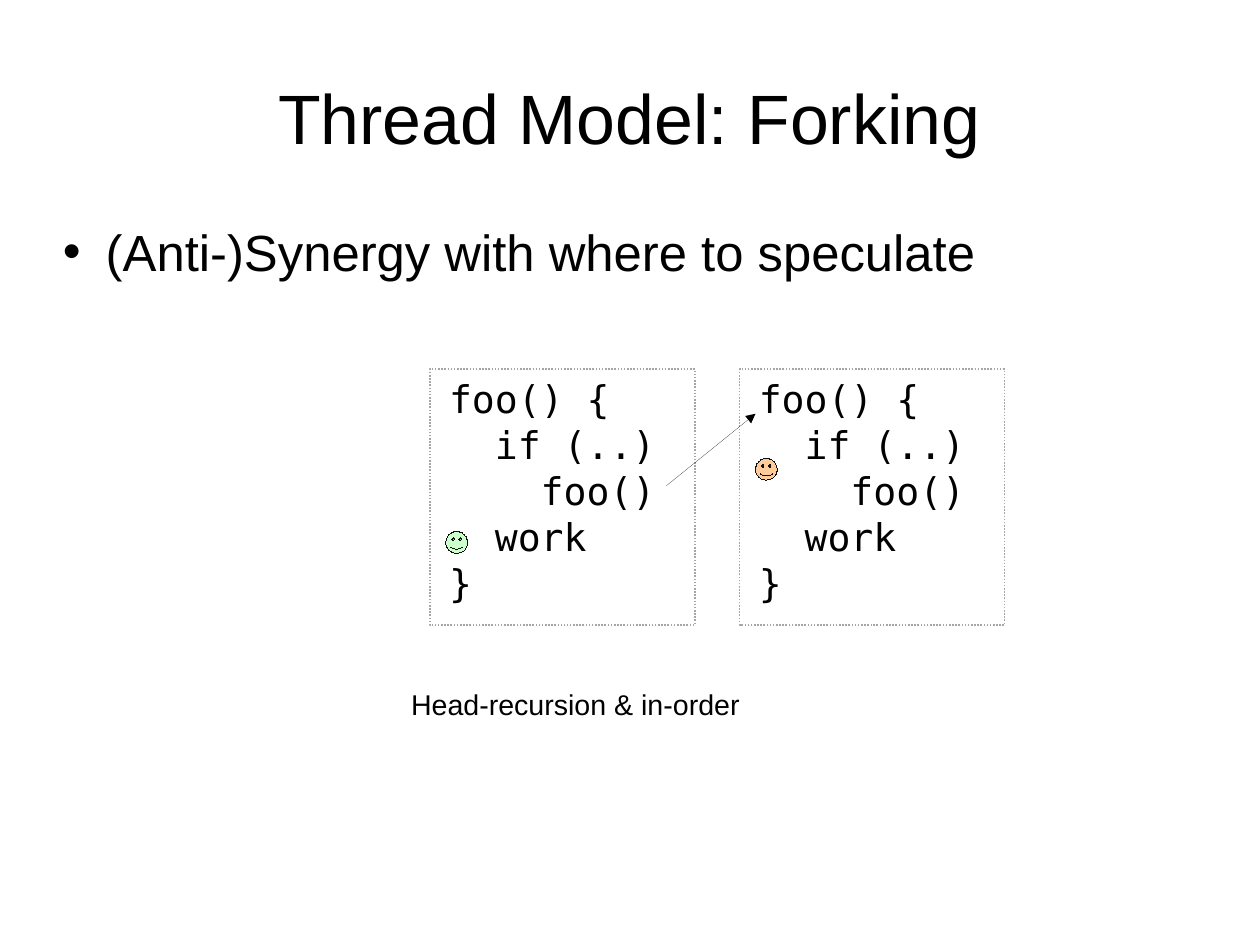
from lxml import etree
from pptx import Presentation
from pptx.dml.color import RGBColor
from pptx.enum.dml import MSO_LINE
from pptx.enum.shapes import MSO_CONNECTOR, MSO_SHAPE
from pptx.enum.text import MSO_ANCHOR, PP_ALIGN
from pptx.oxml.ns import qn
from pptx.util import Inches, Pt

CENTER, LEFT = PP_ALIGN.CENTER, PP_ALIGN.LEFT
TOP, MIDDLE = MSO_ANCHOR.TOP, MSO_ANCHOR.MIDDLE
DOTTED = MSO_LINE.ROUND_DOT
RECTANGLE, SMILEY = MSO_SHAPE.RECTANGLE, MSO_SHAPE.SMILEY_FACE
STRAIGHT = MSO_CONNECTOR.STRAIGHT

BLACK = RGBColor(0x00, 0x00, 0x00)
GRAY = RGBColor(0xA6, 0xA6, 0xA6)
OUTLINE = RGBColor(0x11, 0x11, 0x11)
GREEN = RGBColor(0xCC, 0xFF, 0xCC)
ORANGE = RGBColor(0xFF, 0xCC, 0x99)

SANS, MONO = "Arial", "DejaVu Sans Mono"
CODE = ["foo() {", "  if (..)", "    foo()", "  work", "}"]
FRAME_TOP = 3.23
CM_PER_INCH = 2.54


def format_paragraph(para, size, font_name, alignment):
    para.alignment = alignment
    para.space_before = Pt(0)
    para.font.size = Pt(size)
    para.font.name = font_name
    para.font.color.rgb = BLACK


def set_margins(frame, side, top):
    frame.margin_left = frame.margin_right = Inches(side)
    frame.margin_top = frame.margin_bottom = Inches(top)


def add_bullet(para):
    properties = para._p.get_or_add_pPr()
    properties.set("marL", str(Inches(0.47)))
    properties.set("indent", str(Inches(-0.35)))
    etree.SubElement(properties, qn("a:buSzPct"), val="45000")
    etree.SubElement(properties, qn("a:buFont"), typeface=SANS)
    etree.SubElement(properties, qn("a:buChar"), char="●")


def fill_placeholder(shape, text, top, height, size, alignment, anchor):
    shape.left, shape.top = Inches(0.55), Inches(top)
    shape.width, shape.height = Inches(9.92), Inches(height)
    frame = shape.text_frame
    frame.text = text
    frame.word_wrap = True
    frame.vertical_anchor = anchor
    set_margins(frame, 0, 0)
    format_paragraph(frame.paragraphs[0], size, SANS, alignment)


def add_text(page, lines, left, top, width, height, size, font_name, alignment):
    box = page.shapes.add_textbox(
        Inches(left), Inches(top), Inches(width), Inches(height))
    frame = box.text_frame
    frame.word_wrap = True
    set_margins(frame, 0.1, 0.05)
    frame.text = "\n".join(lines)
    for para in frame.paragraphs:
        format_paragraph(para, size, font_name, alignment)
    return frame


def add_code_frame(page, left):
    code = add_text(page, CODE, left + 0.07, FRAME_TOP, 2.88, 2.37, 24, MONO, LEFT)
    for para in code.paragraphs:
        para.line_spacing = Pt(29)
    border = page.shapes.add_shape(
        RECTANGLE, Inches(left), Inches(FRAME_TOP), Inches(2.32), Inches(2.24))
    border.shadow.inherit = False
    border.fill.background()
    border.line.color.rgb = GRAY
    border.line.width = Pt(1)
    border.line.dash_style = DOTTED


def set_hairline(line, color):
    line.color.rgb = color
    outline = line._get_or_add_ln()
    outline.set("w", "0")
    return outline


def add_smiley(page, left, top, color):
    face = page.shapes.add_shape(
        SMILEY, Inches(left), Inches(top), Inches(0.19), Inches(0.19))
    face.shadow.inherit = False
    face.adjustments[0] = 0.09
    face.fill.solid()
    face.fill.fore_color.rgb = color
    set_hairline(face.line, OUTLINE)


def add_arrow(page, start, end):
    arrow = page.shapes.add_connector(
        STRAIGHT, *(Inches(value) for value in start + end))
    outline = set_hairline(arrow.line, BLACK)
    etree.SubElement(outline, qn("a:tailEnd"), type="triangle")
    etree.SubElement(arrow._element.spPr, qn("a:effectLst"))


def main():
    deck = Presentation()
    deck.slide_width = Inches(28 / CM_PER_INCH)
    deck.slide_height = Inches(21 / CM_PER_INCH)
    page = deck.slides.add_slide(deck.slide_layouts[1])

    title, body = page.shapes.title, page.placeholders[1]
    fill_placeholder(title, "Thread Model: Forking", 0.33, 1.38, 44, CENTER, MIDDLE)
    add_bullet(body.text_frame.paragraphs[0])
    fill_placeholder(body, "(Anti-)Synergy with where to speculate",
                     1.93, 4.79, 32, LEFT, TOP)

    for left, face_top, color in ((3.76, 4.65, GREEN), (6.47, 4.01, ORANGE)):
        add_code_frame(page, left)
        add_smiley(page, left + 0.14, face_top, color)
    add_text(page, ["Head-recursion & in-order"],
             2.92, 5.96, 4.23, 0.66, 18, SANS, CENTER)
    add_arrow(page, (5.83, 4.25), (6.61, 3.62))
    deck.save("out.pptx")


if __name__ == "__main__":
    main()
